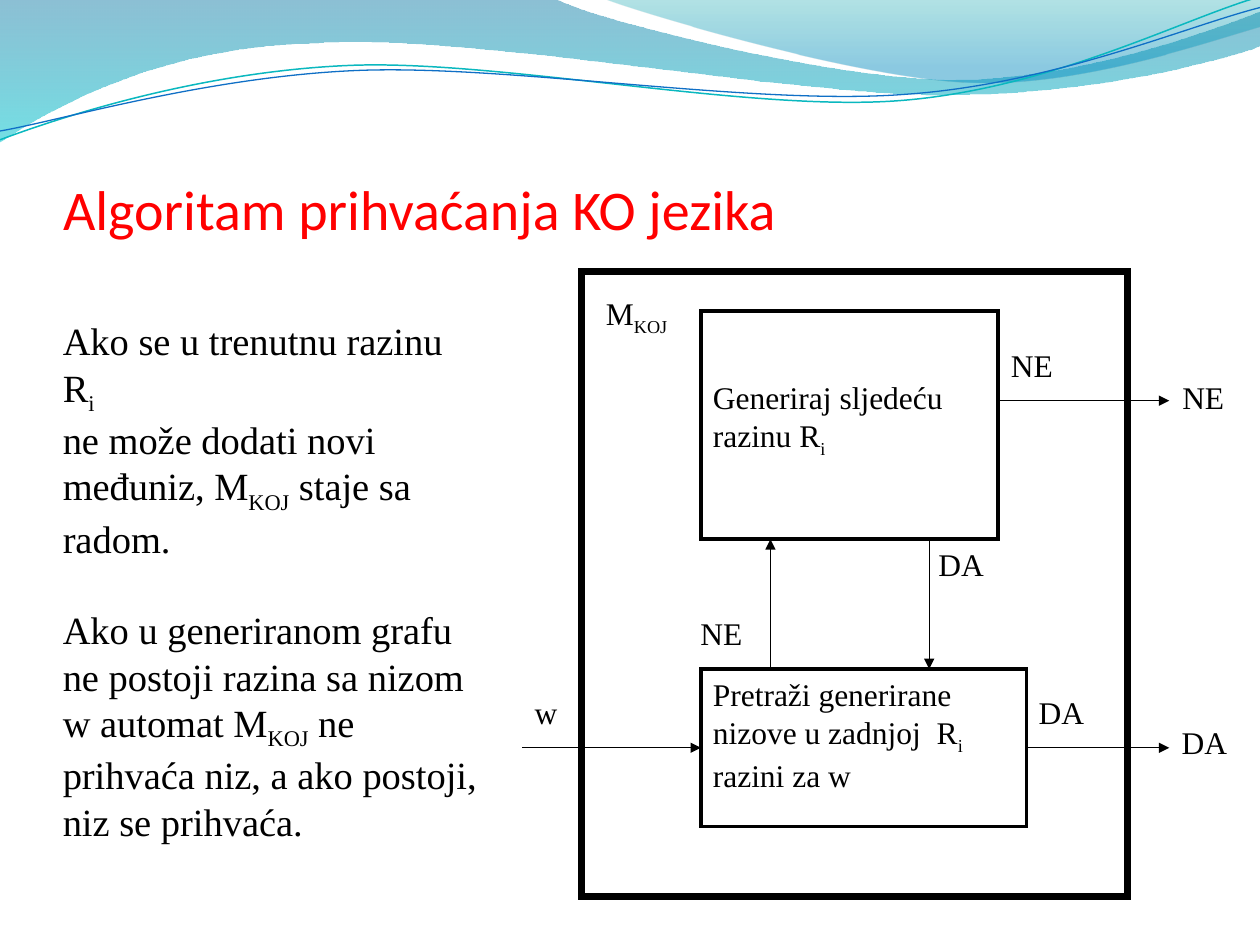
from lxml import etree
from pptx import Presentation
from pptx.dml.color import RGBColor
from pptx.enum import shapes, text
from pptx.oxml import parse_xml
from pptx.oxml import ns
from pptx import util as u

CELL = u.Inches(0.1)  # the slide is a grid of 100 columns and 75 rows
COLUMNS, ROWS = 100, 75
COLORS = {"title": "FF0000", "ink": "000000", "teal_line": "0AB8BF", "blue_line": "0F6FC6",
          "deep_blue": "0074A1", "cyan": "00C6CF", "teal": "00A1A9", "sky": "008BBF"}
SERIF = "Times New Roman"

# A segment is an end point (x, y) or a Bezier curve (x1, y1, x2, y2, x, y).
BANDS = [
    ((0, 0), [(44, -0.1), (47.6, 1.7, 66.4, 6.3, 75.8, 6.3), (85.3, 6.3, 95.8, 2.6, 100, 0.9),
              (100.1, 3.6), (98.3, 4.4, 87, 7.6, 74.6, 7.5), (62.2, 7.5, 38.2, 2.8, 25.7, 3.4),
              (12.9, 3.6, 4.6, 8.3, -0.1, 11.3)],
     [(0, "deep_blue", 45), (100, "cyan", 55)]),
    ((47.9, -0.1), [(50.9, 1.1, 68.2, 6.2, 76.9, 6.5), (85.6, 6.9, 96.1, 3.2, 100, 2.1), (100, 0)],
     [(0, "teal", 30), (80, "sky", 45)]),
]
WAVES = [
    ((0, 11.1), [(4.8, 9.3, 15.8, 5.7, 27.7, 5.2), (39.5, 4.7, 59.3, 8.9, 71.3, 8),
                 (83.3, 7.1, 93.9, 1.5, 99.8, -0.2)], "teal_line", 0.85),
    ((0, 10.4), [(4.7, 9.6, 16.4, 6.1, 28.3, 5.6), (40.3, 5.1, 59.7, 8.4, 71.7, 7.5),
                 (83.6, 6.7, 94.1, 2.1, 100, 0.6)], "blue_line", 0.75),
]
# Text between bars is subscript.
LABELS = [
    ((55.6, 29.5, 24.3, 8.7), ["Generiraj sljedeću", "razinu R|i|"]),
    ((55.6, 53.1, 25.3, 12.5), ["Pretraži generirane nizove u zadnjoj  R|i| razini za w"]),
    ((47.1, 22.85, 8.5, 4.8), ["M|KOJ|"]),
    ((41.45, 54.5, 4.1, 4.8), ["w"]),
    ((81.45, 54.5, 6.6, 4.8), ["DA"]),
    ((92.8, 56.9, 6.6, 4.8), ["DA"]),
    ((73.5, 42.8, 6.6, 4.8), ["DA"]),
    ((54.6, 48.2, 6.6, 4.8), ["NE"]),
    ((79.25, 26.95, 6.6, 4.8), ["NE"]),
    ((92.85, 29.5, 6.6, 4.8), ["NE"]),
]
EXPLANATION = [
    "Ako se u trenutnu razinu R|i|",
    "ne može dodati novi međuniz, M|KOJ| staje sa radom.",
    "Ako u generiranom grafu ne postoji razina sa nizom w automat M|KOJ| ne "
    "prihvaća niz, a ako postoji, niz se prihvaća.",
]


def cells(*values):
    return [round(value * CELL) for value in values]


def color(name):
    return RGBColor.from_string(COLORS[name])


def set_values(target, values):
    for name, value in values.items():
        setattr(target, name, value)


def set_line(shape, name, width):
    shape.line.color.rgb = color(name)
    shape.line.width = u.Pt(width)


def add_outline(slide, start, segments, close):
    """Draw the end points as a freeform, then bend its curved segments."""
    builder = slide.shapes.build_freeform(*cells(*start))
    builder.add_line_segments([cells(*segment[-2:]) for segment in segments], close=close)
    shape = builder.convert_to_shape()
    shape.shadow.inherit = False
    steps = list(shape._element.spPr.iter(ns.qn("a:lnTo")))
    for step, segment in zip(steps, segments):
        if len(segment) == 2:
            continue
        step.tag = ns.qn("a:cubicBezTo")
        for point in list(step):
            step.remove(point)
        values = cells(*segment)
        for x, y in zip(values[::2], values[1::2]):
            etree.SubElement(step, ns.qn("a:pt"), x=str(x - shape.left), y=str(y - shape.top))
    return shape


def add_band(slide, start, segments, stops):
    shape = add_outline(slide, start, segments, True)
    shape.line.fill.background()
    stop_xml = "".join(
        f'<a:gs pos="{place * 1000}"><a:srgbClr val="{COLORS[name]}">'
        f'<a:alpha val="{opacity * 1000}"/></a:srgbClr></a:gs>' for place, name, opacity in stops)
    gradient = parse_xml(f'<a:gradFill {ns.nsdecls("a")}><a:gsLst>{stop_xml}</a:gsLst>'
                         '<a:lin ang="5400000" scaled="0"/></a:gradFill>')
    shape._element.spPr.find(ns.qn("a:custGeom")).addnext(gradient)


def add_wave(slide, start, segments, name, width):
    shape = add_outline(slide, start, segments, False)
    shape.fill.background()
    set_line(shape, name, width)


def add_frame(slide, place, width):
    shape = slide.shapes.add_shape(shapes.MSO_SHAPE.RECTANGLE, *cells(*place))
    shape.shadow.inherit = False
    shape.fill.background()
    set_line(shape, "ink", width)
    etree.SubElement(shape.line._get_or_add_ln(), ns.qn("a:miter"), lim="800000")
    return shape


def add_arrow(slide, start, end, source=None, target=None):
    """Draw an arrow; source and target are (shape, side) pairs to join."""
    arrow = slide.shapes.add_connector(shapes.MSO_CONNECTOR.STRAIGHT, *cells(*start, *end))
    if source:
        arrow.begin_connect(*source)
    if target:
        arrow.end_connect(*target)
    set_line(arrow, "ink", 0.75)
    etree.SubElement(arrow.line._get_or_add_ln(), ns.qn("a:tailEnd"), type="triangle")
    etree.SubElement(arrow._element.spPr, ns.qn("a:effectLst"))


def add_text(slide, place, paragraphs, size=18):
    box = slide.shapes.add_textbox(*cells(*place))
    frame = box.text_frame
    frame.word_wrap = True
    for index, content in enumerate(paragraphs):
        paragraph = frame.add_paragraph() if index else frame.paragraphs[0]
        for part, words in enumerate(content.split("|")):
            if not words:
                continue
            run = paragraph.add_run()
            run.text = words
            set_values(run.font, {"name": SERIF, "size": u.Pt(size)})
            run.font.color.rgb = color("ink")
            if part % 2:
                run._r.get_or_add_rPr().set("baseline", "-25000")
    return frame


def set_title(slide, words):
    title = slide.shapes.title
    left, top, width, height = cells(5, 11.5, 90, 7.7)
    set_values(title, {"left": left, "top": top, "width": width, "height": height})
    frame = title.text_frame
    frame.text = words
    set_values(frame, {"margin_left": 0, "margin_right": 0, "margin_bottom": 0,
                       "margin_top": u.Inches(0.05), "auto_size": text.MSO_AUTO_SIZE.NONE,
                       "vertical_anchor": text.MSO_ANCHOR.BOTTOM})
    paragraph = frame.paragraphs[0]
    paragraph.alignment = text.PP_ALIGN.LEFT
    set_values(paragraph.font, {"name": "Calibri", "size": u.Pt(32)})
    paragraph.font.color.rgb = color("title")


def add_automaton(slide):
    add_frame(slide, (46.15, 21.55, 43.35, 49.6), 4)
    add_frame(slide, (55.63, 24.7, 23.6, 18.1), 2)
    search = add_frame(slide, (55.63, 53.1, 25.85, 12.5), 2)
    add_arrow(slide, (41.45, 59.35), (55.63, 59.35), target=(search, 1))
    add_arrow(slide, (81.48, 59.35), (92.8, 59.35), source=(search, 3))
    add_arrow(slide, (61.15, 53.1), (61.15, 42.8))
    add_arrow(slide, (73.75, 42.8), (73.75, 53.1))
    add_arrow(slide, (79.25, 31.8), (92.8, 31.8))
    for place, paragraphs in LABELS:
        add_text(slide, place, paragraphs)


def main():
    presentation = Presentation()
    presentation.slide_width, presentation.slide_height = cells(COLUMNS, ROWS)
    slide = presentation.slides.add_slide(presentation.slide_layouts.get_by_name("Title Only"))
    for band in BANDS:
        add_band(slide, *band)
    for wave in WAVES:
        add_wave(slide, *wave)
    set_title(slide, "Algoritam prihvaćanja KO jezika")
    add_automaton(slide)
    explanation = add_text(slide, (4, 24.7, 35, 37.6), EXPLANATION, 22)
    explanation.paragraphs[-1].space_before = u.Pt(26)
    presentation.save("out.pptx")


if __name__ == "__main__":
    main()
